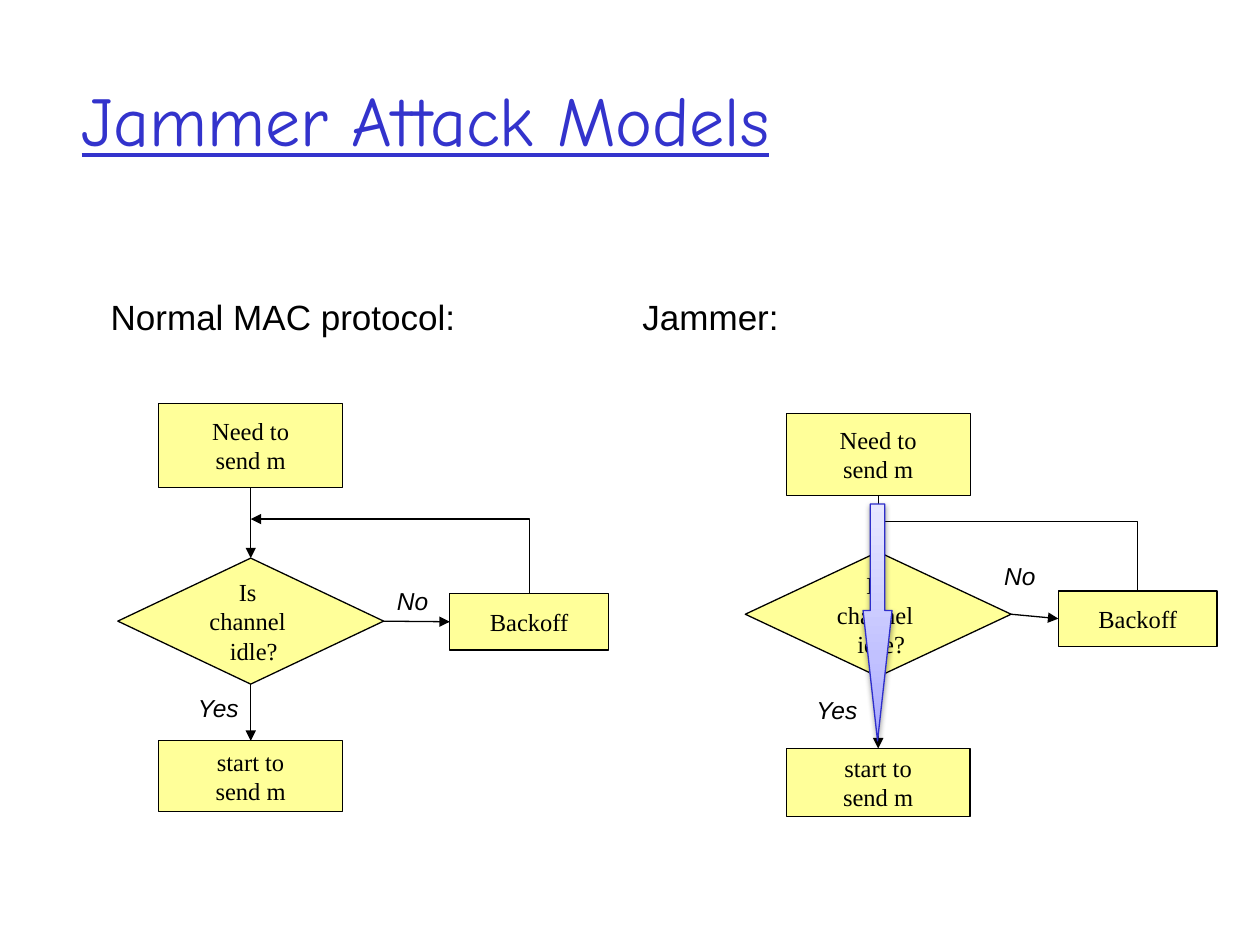
from lxml import etree
from pptx import Presentation
from pptx.dml.color import RGBColor
from pptx.enum.shapes import MSO_CONNECTOR, MSO_SHAPE
from pptx.enum.text import MSO_ANCHOR, PP_ALIGN
from pptx.oxml.ns import qn
from pptx.util import Inches, Pt

PROCESS = MSO_SHAPE.FLOWCHART_PROCESS
DECISION = MSO_SHAPE.FLOWCHART_DECISION
RECTANGLE = MSO_SHAPE.RECTANGLE
DOWN_ARROW = MSO_SHAPE.DOWN_ARROW
STRAIGHT, ELBOW = MSO_CONNECTOR.STRAIGHT, MSO_CONNECTOR.ELBOW
MIDDLE, CENTER = MSO_ANCHOR.MIDDLE, PP_ALIGN.CENTER
TOP, LEFT, BOTTOM, RIGHT = range(4)

THEME = {
    "title": {"font": "Comic Neue", "size": 40, "color": "3333CC", "underline": True},
    "heading": {"font": "Arial", "size": 20, "color": "000000"},
    "step": {"font": "Times New Roman", "size": 14, "color": "000000"},
    "label": {"font": "Arial", "size": 14, "color": "000000", "italic": True},
    "box": "FFFF99",
    "line": "000000",
    "line_width": 0.75,
    "bypass_line": "2E2ECB",
    "bypass_stops": [(0, "A7A7FF"), (35, "C1C1FF"), (100, "E7E7FF")],
}

TITLE = "Jammer Attack Models"
TITLE_AREA = (0.55, 0.55, 8.58, 0.78)
STEPS = {
    "need": (PROCESS, 1.46, ["Need to", "send m"]),
    "check": (DECISION, 2.11, ["Is ", "channel ", " idle?"]),
    "backoff": (RECTANGLE, 1.26, ["Backoff"]),
    "start": (RECTANGLE, 1.46, ["start to", "send m"]),
}
LINKS = [
    ("need", BOTTOM, "check", TOP),
    ("check", BOTTOM, "start", TOP),
    ("check", RIGHT, "backoff", LEFT),
]
CHARTS = [
    {
        "heading": ("Normal MAC protocol:", 0.78, 3.0),
        "axis": 1.99,
        "backoff_axis": 4.2,
        "rows": {"need": (3.2, 0.67), "check": (4.43, 1.0),
                 "backoff": (4.71, 0.45), "start": (5.88, 0.56)},
        "loop_end": (1.99, 4.12),
        "labels": [("No", 3.15, 4.65), ("Yes", 1.57, 5.5)],
    },
    {
        "heading": ("Jammer:", 5.0, 3.73),
        "axis": 6.97,
        "backoff_axis": 9.03,
        "rows": {"need": (3.28, 0.65), "check": (4.38, 0.99),
                 "backoff": (4.69, 0.44), "start": (5.94, 0.54)},
        "loop_end": (6.93, 4.14),
        "labels": [("No", 7.97, 4.45), ("Yes", 6.48, 5.52)],
    },
]
HEADING_TOP, HEADING_HEIGHT = 2.3, 0.44
LABEL_SIZE = (0.53, 0.23)
BYPASS_AREA = (6.85, 4.0, 0.23, 1.88)


def write(frame, lines, style, align=None):
    for index, line in enumerate(lines):
        paragraph = frame.paragraphs[0] if index == 0 else frame.add_paragraph()
        paragraph.alignment = align
        run = paragraph.add_run()
        run.text = line
        run.font.name = style["font"]
        run.font.size = Pt(style["size"])
        run.font.color.rgb = RGBColor.from_string(style["color"])
        run.font.italic = style.get("italic")
        run.font.underline = style.get("underline")


def add_text(slide, text, area, style, inset=None, anchor=None):
    frame = slide.shapes.add_textbox(*map(Inches, area)).text_frame
    frame.word_wrap = True
    frame.vertical_anchor = anchor
    if inset is not None:
        frame.margin_left = frame.margin_right = Inches(inset)
        frame.margin_top = frame.margin_bottom = Inches(inset)
    write(frame, [text], style)


def set_line(shape, color):
    shape.line.color.rgb = RGBColor.from_string(color)
    shape.line.width = Pt(THEME["line_width"])


def add_step(slide, name, axis, row):
    kind, width, lines = STEPS[name]
    top, height = row
    area = (axis - width / 2, top, width, height)
    shape = slide.shapes.add_shape(kind, *map(Inches, area))
    shape.shadow.inherit = False
    shape.fill.solid()
    shape.fill.fore_color.rgb = RGBColor.from_string(THEME["box"])
    set_line(shape, THEME["line"])
    shape.text_frame.word_wrap = False
    shape.text_frame.vertical_anchor = MIDDLE
    write(shape.text_frame, lines, THEME["step"], CENTER)
    return shape


def add_arrow(slide, kind, begin, end):
    connector = slide.shapes.add_connector(kind, *map(Inches, begin + end))
    set_line(connector, THEME["line"])
    etree.SubElement(connector.line._get_or_add_ln(), qn("a:tailEnd"), type="triangle")
    etree.SubElement(connector._element.spPr, qn("a:effectLst"))
    return connector


def add_loop(slide, begin, end):
    center_x, center_y = (begin[0] + end[0]) / 2, (begin[1] + end[1]) / 2
    half_run, half_rise = (begin[0] - end[0]) / 2, (begin[1] - end[1]) / 2
    connector = add_arrow(slide, ELBOW,
                          (center_x + half_rise, center_y - half_run),
                          (center_x - half_rise, center_y + half_run))
    properties = connector._element.spPr
    properties.find(qn("a:xfrm")).set("rot", str(90 * 60000))
    properties.find(qn("a:prstGeom")).set("prst", "bentConnector2")


def add_chart_flow(slide, chart):
    text, left, width = chart["heading"]
    add_text(slide, text, (left, HEADING_TOP, width, HEADING_HEIGHT), THEME["heading"])
    steps = {}
    for name, row in chart["rows"].items():
        axis = chart["backoff_axis" if name == "backoff" else "axis"]
        steps[name] = add_step(slide, name, axis, row)
    for source, source_side, target, target_side in LINKS:
        connector = add_arrow(slide, STRAIGHT, (0, 0), (0, 0))
        connector.begin_connect(steps[source], source_side)
        connector.end_connect(steps[target], target_side)
    loop_begin = (chart["backoff_axis"], chart["rows"]["backoff"][0])
    add_loop(slide, loop_begin, chart["loop_end"])
    for text, left, top in chart["labels"]:
        add_text(slide, text, (left, top) + LABEL_SIZE, THEME["label"], inset=0)


def add_bypass(slide):
    shape = slide.shapes.add_shape(DOWN_ARROW, *map(Inches, BYPASS_AREA))
    shape.adjustments[0], shape.adjustments[1] = 0.5, 4.5
    shape.fill.gradient()
    shape.fill.gradient_angle = 90
    properties = shape._element.spPr
    stops = properties.find(".//" + qn("a:gsLst"))
    for stop in list(stops):
        stops.remove(stop)
    for position, color in THEME["bypass_stops"]:
        stop = etree.SubElement(stops, qn("a:gs"), pos=str(position * 1000))
        etree.SubElement(stop, qn("a:srgbClr"), val=color)
    set_line(shape, THEME["bypass_line"])
    shape.shadow.inherit = False
    shadow = etree.SubElement(properties.find(qn("a:effectLst")), qn("a:outerShdw"),
                              blurRad=str(Pt(3.1)), dist=str(Pt(1.6)),
                              dir=str(90 * 60000), rotWithShape="0")
    color = etree.SubElement(shadow, qn("a:srgbClr"), val="000000")
    etree.SubElement(color, qn("a:alpha"), val="38000")


def main():
    presentation = Presentation()
    presentation.slide_width, presentation.slide_height = Inches(10), Inches(7.5)
    slide = presentation.slides.add_slide(presentation.slide_layouts[6])
    add_text(slide, TITLE, TITLE_AREA, THEME["title"], anchor=MIDDLE)
    for chart in CHARTS:
        add_chart_flow(slide, chart)
    add_bypass(slide)
    presentation.save("out.pptx")


if __name__ == "__main__":
    main()
